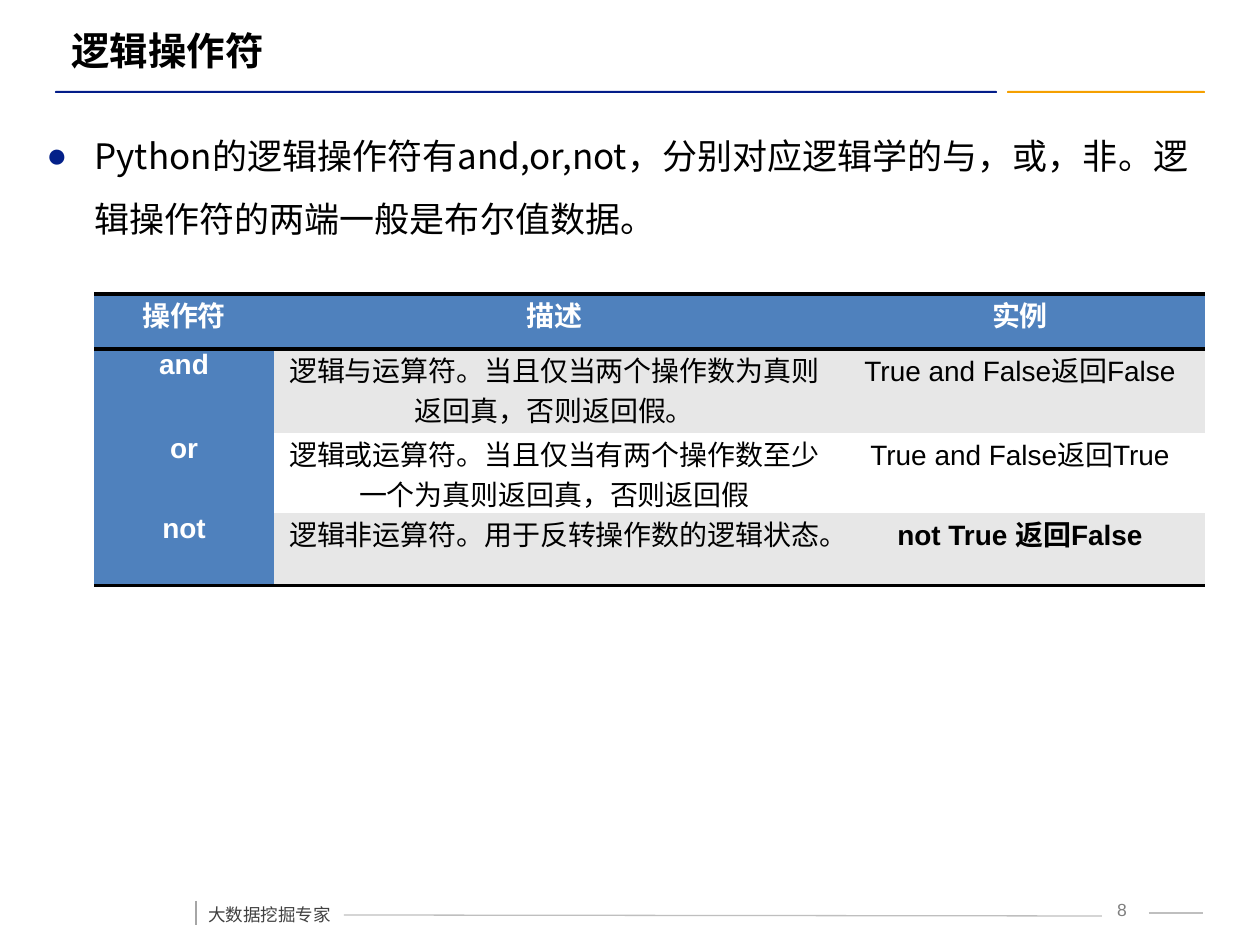
from lxml import etree
from pptx import Presentation
from pptx.dml.color import RGBColor
from pptx.enum.shapes import MSO_CONNECTOR, MSO_SHAPE
from pptx.enum.text import MSO_ANCHOR, MSO_AUTO_SIZE, PP_ALIGN
from pptx.oxml.ns import qn
from pptx.util import Pt

STRAIGHT = MSO_CONNECTOR.STRAIGHT
ROUNDED = MSO_SHAPE.ROUNDED_RECTANGLE
LEFT, CENTER = PP_ALIGN.LEFT, PP_ALIGN.CENTER
TOP, MIDDLE = MSO_ANCHOR.TOP, MSO_ANCHOR.MIDDLE
FIT_SHAPE = MSO_AUTO_SIZE.SHAPE_TO_FIT_TEXT
PX_PER_INCH = 126
LATIN, CJK = "Arial", "Noto Sans CJK SC"
NO_STYLE = "{2D5ABB26-0587-4C30-8999-92F81FD0307C}"
BLACK, WHITE, BLUE, GRAY = "000000", "FFFFFF", "4F81BD", "E7E7E7"


def px(length):
    return round(length * 914400 / PX_PER_INCH)


def color(value):
    return RGBColor.from_string(value)


def write(frame, text, size=16, font=LATIN, fill=BLACK, bold=False,
          align=LEFT, spacing=None, before=None):
    para = frame.paragraphs[0]
    para.alignment = align
    para.line_spacing = spacing
    para.space_before = before
    span = para.add_run()
    span.text = text
    span.font.size = Pt(size)
    span.font.bold = bold
    span.font.color.rgb = color(fill)
    span.font.name = font
    etree.SubElement(span.font._element, qn("a:ea"), typeface=CJK)
    return para


def add_bullet(para, symbol, fill, indent):
    properties = para._p.get_or_add_pPr()
    properties.set("marL", str(px(indent)))
    properties.set("indent", str(-px(indent)))
    tint = etree.SubElement(properties, qn("a:buClr"))
    etree.SubElement(tint, qn("a:srgbClr"), val=fill)
    etree.SubElement(properties, qn("a:buFont"), typeface=LATIN)
    etree.SubElement(properties, qn("a:buChar"), char=symbol)


def add_border(cell, sides, fill=BLACK, width=2):
    properties = cell._tc.get_or_add_tcPr()
    for position, side in enumerate(sides):
        line = etree.Element(qn("a:ln" + side), w=str(Pt(width)))
        solid = etree.SubElement(line, qn("a:solidFill"))
        etree.SubElement(solid, qn("a:srgbClr"), val=fill)
        properties.insert(position, line)


class Page:
    def __init__(self, deck):
        self.slide = deck.slides.add_slide(deck.slide_layouts[6])
        self.shapes = self.slide.shapes

    def bar(self, left, top, width, height, fill):
        box = self.shapes.add_shape(ROUNDED, px(left), px(top), px(width), px(height))
        box.adjustments[0] = 0.5
        box.shadow.inherit = False
        box.fill.solid()
        box.fill.fore_color.rgb = color(fill)
        box.line.fill.background()

    def line(self, x1, y1, x2, y2, fill):
        line = self.shapes.add_connector(STRAIGHT, px(x1), px(y1), px(x2), px(y2))
        line.line.color.rgb = color(fill)
        line.line.width = Pt(0.75)
        etree.SubElement(line._element.spPr, qn("a:effectLst"))

    def text(self, left, top, width, height, text, anchor=TOP, wrap=True, **style):
        box = self.shapes.add_textbox(px(left), px(top), px(width), px(height))
        frame = box.text_frame
        frame.word_wrap = wrap
        frame.vertical_anchor = anchor
        if not wrap:
            frame.auto_size = FIT_SHAPE
        return write(frame, text, **style)

    def table(self, left, top, widths, heights, rows):
        table = self.shapes.add_table(len(rows), len(widths), px(left), px(top),
                                      px(sum(widths)), px(sum(heights))).table
        table.first_row = table.horz_banding = False
        table._tbl.tblPr[0].text = NO_STYLE
        for column, width in zip(table.columns, widths):
            column.width = px(width)
        for r, (height, row) in enumerate(zip(heights, rows)):
            table.rows[r].height = px(height)
            for c, text in enumerate(row):
                heading = r == 0 or c == 0
                last = r == len(rows) - 1
                cell = table.cell(r, c)
                cell.margin_left = cell.margin_right = px(9)
                cell.margin_top = cell.margin_bottom = 0
                cell.fill.solid()
                cell.fill.fore_color.rgb = color(
                    BLUE if heading else GRAY if r % 2 else WHITE)
                write(cell.text_frame, text, align=CENTER,
                      fill=WHITE if heading else BLACK,
                      bold=heading or (last and c == 2))
                if r == 0:
                    add_border(cell, "TB")
                elif last:
                    add_border(cell, "B")


def main():
    deck = Presentation()
    deck.slide_width, deck.slide_height = px(1260), px(945)
    page = Page(deck)

    page.bar(1007, 91, 198, 2, "F5A000")
    page.bar(55, 91, 942, 2, "031D89")
    page.text(1092, 893, 60, 32, "8", size=10, fill="7F7F7F", align=CENTER)
    page.line(344, 915, 1102, 916, "BFBFBF")
    page.line(1149, 913, 1203, 913, "BFBFBF")
    page.line(196, 901, 196, 925, "A6A6A6")
    page.text(196, 887, 148, 44, "大数据挖掘专家", wrap=False, size=10,
              font=CJK, fill="404040", spacing=1.5, before=Pt(6))

    page.text(59, 21, 1147, 59, "逻辑操作符", anchor=MIDDLE, size=22, bold=True)
    body = page.text(
        34, 107, 1168, 147,
        "Python的逻辑操作符有and,or,not，分别对应逻辑学的与，或，非。"
        "逻辑操作符的两端一般是布尔值数据。",
        size=20, font=CJK, spacing=1.5, before=Pt(4))
    add_bullet(body, "●", "032089", 48)

    page.table(94, 294, [180, 561, 370], [55, 84, 80, 73], [
        ["操作符", "描述", "实例"],
        ["and", "逻辑与运算符。当且仅当两个操作数为真则返回真，否则返回假。",
         "True and False返回False"],
        ["or", "逻辑或运算符。当且仅当有两个操作数至少一个为真则返回真，否则返回假",
         "True and False返回True"],
        ["not", "逻辑非运算符。用于反转操作数的逻辑状态。", "not True 返回False"],
    ])
    deck.save("out.pptx")


if __name__ == "__main__":
    main()
